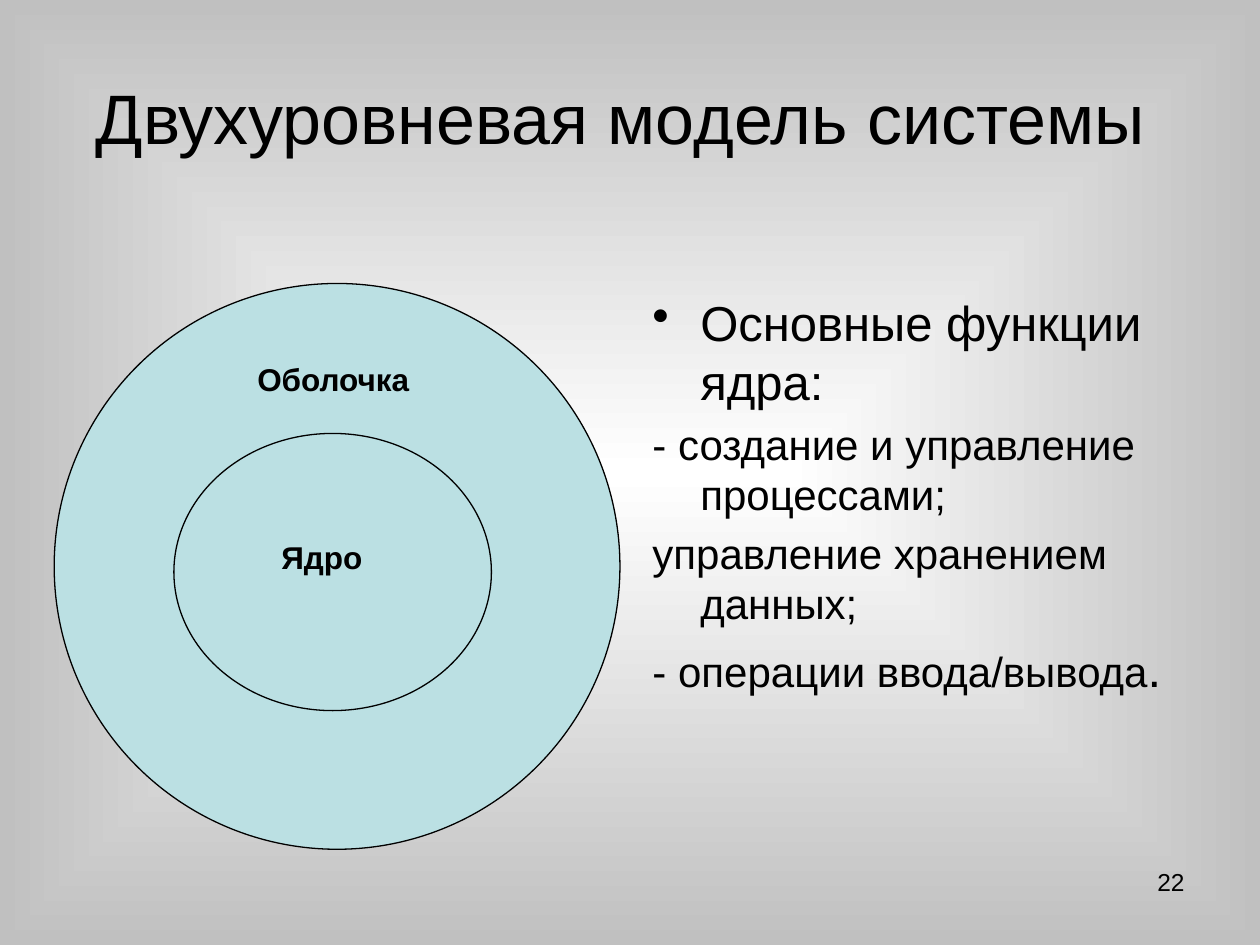
from lxml import etree
from pptx import Presentation, util as u
from pptx.dml.color import RGBColor
from pptx.enum import shapes, text
from pptx.oxml import parse_xml
from pptx.oxml.ns import qn, nsdecls

WIDE, HIGH = 10, 7.5
INK, AQUA = "000000", "BBE0E3"
GLOW, RIM = "FFFFFF", "C0C0C0"
HANG = 0.38

TITLE = "Двухуровневая модель системы "
TASKS = [
    [("Основные функции ядра:", 28)],
    [("- создание и управление процессами;", 24)],
    [("управление хранением данных;", 24)],
    [("- операции ввода/вывода", 24), (".", 28)],
]
RINGS = [(0.43, 2.25, 4.49, 4.49), (1.38, 3.44, 2.52, 2.2)]
LABELS = [("Ядро", (1.69, 4.22, 1.73, 0.4)),
          ("Оболочка ", (1.38, 2.81, 2.6, 0.4))]

deck = Presentation()
deck.slide_width, deck.slide_height = u.Inches(WIDE), u.Inches(HIGH)
slide = deck.slides.add_slide(deck.slide_layouts[6])


def tint(code):
    return RGBColor.from_string(code)


def place(box):
    return [u.Inches(x) for x in box]


def write(box, paras, align="LEFT", bold=False, anchor="TOP", gap=0, hang=0):
    frame = slide.shapes.add_textbox(*place(box)).text_frame
    frame.word_wrap = True
    frame.vertical_anchor = getattr(text.MSO_ANCHOR, anchor)
    for i, runs in enumerate(paras):
        para = frame.paragraphs[0] if i == 0 else frame.add_paragraph()
        para.alignment = getattr(text.PP_ALIGN, align)
        para.space_before = u.Pt(gap * max(size for _, size in runs))
        for words, size in runs:
            run = para.add_run()
            run.text = words
            font = run.font
            font.name, font.size, font.bold = "Arial", u.Pt(size), bold
            font.color.rgb = tint(INK)
        if hang:
            props = para._p.get_or_add_pPr()
            props.set("marL", str(u.Inches(hang)))
            props.set("indent", str(-u.Inches(hang)))
            if i == 0:
                etree.SubElement(props, qn("a:buChar")).set("char", "•")
            else:
                etree.SubElement(props, qn("a:buNone"))


def shade(inner, outer):
    fill = slide.background.fill
    fill.solid()
    old = slide._element.cSld.find(".//" + qn("a:solidFill"))
    stops = "".join(f'<a:gs pos="{pos}"><a:srgbClr val="{code}"/></a:gs>'
                    for pos, code in ((0, inner), (100000, outer)))
    mid = " ".join(f'{side}="50000"' for side in "ltrb")
    old.getparent().replace(old, parse_xml(
        f'<a:gradFill {nsdecls("a")} rotWithShape="1"><a:gsLst>{stops}</a:gsLst>'
        f'<a:path path="shape"><a:fillToRect {mid}/></a:path></a:gradFill>'))


shade(GLOW, RIM)
write((0.5, 0.3, 9, 1.25), [[(TITLE, 40)]], align="CENTER", anchor="MIDDLE")
write((5.08, 2.27, 4.42, 4.43), TASKS, gap=0.2, hang=HANG)

for box in RINGS:
    ring = slide.shapes.add_shape(shapes.MSO_SHAPE.OVAL, *place(box))
    ring.shadow.inherit = False
    ring.fill.solid()
    ring.fill.fore_color.rgb = tint(AQUA)
    ring.line.color.rgb = tint(INK)
    ring.line.width = u.Pt(0.75)

for words, box in LABELS:
    write(box, [[(words, 18)]], align="CENTER", bold=True, gap=0.5)

write((7.17, 6.83, 2.33, 0.52), [[("22", 14)]], align="RIGHT")
deck.save("out.pptx")
